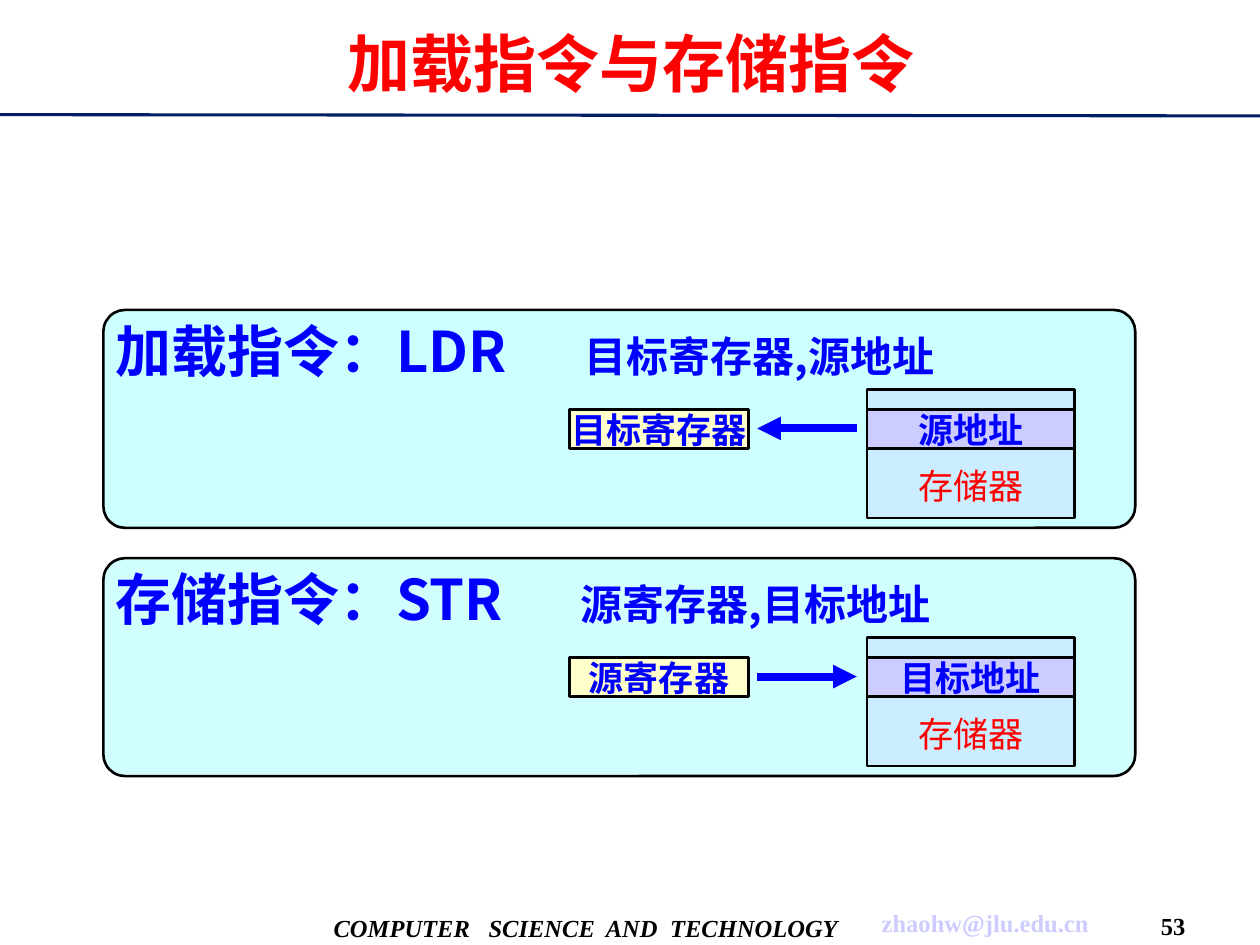
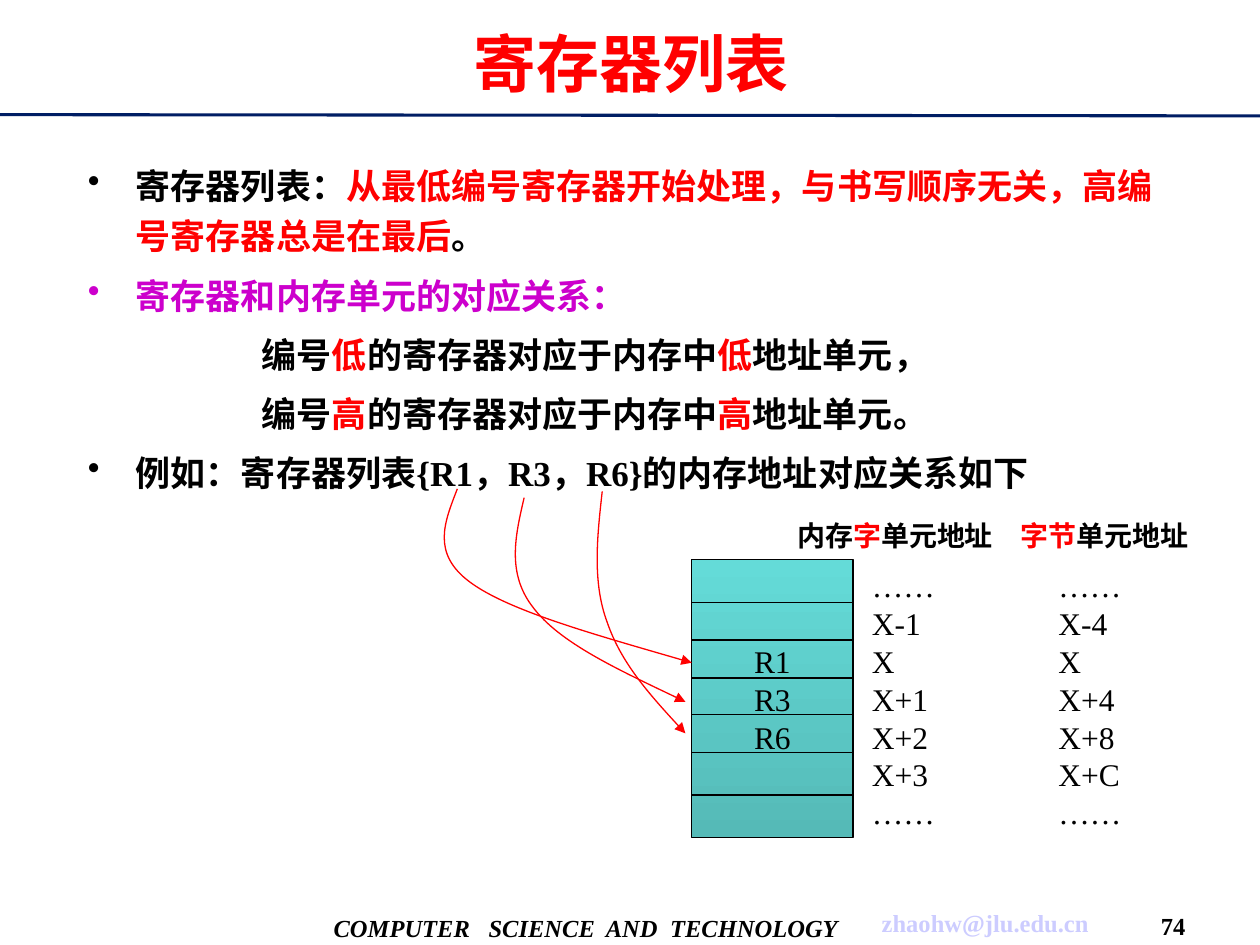
import dataclasses
from typing import Optional

import pptx
import pptx.dml.color
import pptx.enum.shapes
import pptx.enum.text
import pptx.oxml
import pptx.oxml.ns
import pptx.util
from lxml import etree

Inches, Pt = pptx.util.Inches, pptx.util.Pt
qn = pptx.oxml.ns.qn
ALIGN = pptx.enum.text.PP_ALIGN
ANCHOR = pptx.enum.text.MSO_ANCHOR
SHAPE = pptx.enum.shapes.MSO_SHAPE

COLORS = {
    "black": "000000", "red": "FF0000", "blue": "0000FF", "purple": "CC00CC",
    "rule": "001E64", "lavender": "CCCCFF", "panel": "CCFFFF",
    "memory": "CCECFF", "register": "FFFFCC",
    "teal_light": "64DBD8", "teal_dark": "55BAB7",
}
SERIF, SANS = "Times New Roman", "Noto Sans CJK SC"


@dataclasses.dataclass(frozen=True)
class Span:
    text: str
    color: Optional[str] = None
    size: Optional[float] = None


@dataclasses.dataclass(frozen=True)
class Para:
    spans: tuple[Span, ...]
    bullet: Optional[str] = None  # colour of the bullet
    left: float = 0


@dataclasses.dataclass(frozen=True)
class Instruction:
    top: float
    name: str
    operands: str
    operand_tab: float
    register: str
    address: str
    loads: bool
    opacity: int = 100


INSTRUCTIONS = (
    Instruction(2.46, "加载指令：LDR", "目标寄存器,源地址", 3.72, "目标寄存器", "源地址", True),
    Instruction(4.43, "存储指令：STR", "源寄存器,目标地址", 3.69, "源寄存器", "目标地址", False, 90),
)


def rgb(name):
    return pptx.dml.color.RGBColor.from_string(COLORS[name])


def add_xml(parent, tag: str, **attributes: str):
    return etree.SubElement(parent, qn(tag), attributes)


# Text
def write(frame, paras, *, size: float, color="black", bold=False, italic=False,
          font=SERIF, align=ALIGN.LEFT, anchor=ANCHOR.MIDDLE, wrap=False, inset=True,
          line=None, before=0, tabs=()) -> None:
    """Fill a text frame; paras is a string or a sequence of strings and Paras."""
    frame.word_wrap = wrap
    frame.vertical_anchor = anchor
    frame.margin_left = frame.margin_right = Inches(0.1 if inset else 0)
    frame.margin_top = frame.margin_bottom = Inches(0.05 if inset else 0)
    for index, item in enumerate([paras] if isinstance(paras, (str, Para)) else paras):
        para = item if isinstance(item, Para) else Para((Span(item),))
        paragraph = frame.add_paragraph() if index else frame.paragraphs[0]
        properties = paragraph._p.get_or_add_pPr()
        if para.left:
            properties.set("marL", str(Inches(para.left)))
        if para.bullet:
            properties.set("indent", str(-Inches(para.left)))
            bullet_color = add_xml(properties, "a:buClr")
            add_xml(bullet_color, "a:srgbClr", val=COLORS[para.bullet])
            add_xml(properties, "a:buChar", char="•")
        if tabs:
            tab_list = add_xml(properties, "a:tabLst")
            for position in tabs:
                add_xml(tab_list, "a:tab", pos=str(Inches(position)), algn="l")
        paragraph.alignment = align
        if line:
            paragraph.line_spacing = line
        paragraph.space_before = Pt(before if index else 0)
        for span in para.spans:
            run = paragraph.add_run()
            run.text = span.text
            run.font.name = font
            run.font.size = Pt(span.size or size)
            run.font.bold, run.font.italic = bold, italic
            run.font.color.rgb = rgb(span.color or color)
            add_xml(run._r.get_or_add_rPr(), "a:ea", typeface=SANS)


def add_text(page, left: float, top: float, width: float, height: float, paras, **style):
    box = page.shapes.add_textbox(Inches(left), Inches(top), Inches(width), Inches(height))
    write(box.text_frame, paras, **style)
    return box


# Shapes and lines
def add_box(page, left: float, top: float, width: float, height: float,
            fill: Optional[str] = None, kind=SHAPE.RECTANGLE, weight=1.5):
    box = page.shapes.add_shape(kind, Inches(left), Inches(top), Inches(width), Inches(height))
    box.shadow.inherit = False
    if fill:
        box.fill.solid()
        box.fill.fore_color.rgb = rgb(fill)
    box.line.color.rgb = rgb("black")
    box.line.width = Pt(weight)
    return box


def style_line(shape, color: str, weight: float, arrow: bool) -> None:
    shape.line.color.rgb = rgb(color)
    shape.line.width = Pt(weight)
    if arrow:
        add_xml(shape.line._get_or_add_ln(), "a:tailEnd", type="triangle")


def add_line(page, start, end, color="black", weight=0.75, arrow=False) -> None:
    line = page.shapes.add_connector(
        pptx.enum.shapes.MSO_CONNECTOR.STRAIGHT, *map(Inches, (*start, *end)))
    style_line(line, color, weight, arrow)
    add_xml(line._element.spPr, "a:effectLst")


def add_curve(page, start, *controls) -> None:
    """Draw a red arrow of cubic curves, three control points to each curve."""
    builder = page.shapes.build_freeform(*map(Inches, start))
    builder.add_line_segments([tuple(map(Inches, point)) for point in controls], close=False)
    curve = builder.convert_to_shape()
    curve.shadow.inherit = False
    curve.fill.background()
    style_line(curve, "red", 0.75, True)
    outline = next(curve._element.iter(qn("a:path")))
    segments = outline.findall(qn("a:lnTo"))
    for first in range(0, len(segments), 3):
        cubic = add_xml(outline, "a:cubicBezTo")
        for segment in segments[first:first + 3]:
            cubic.append(segment[0])
            outline.remove(segment)


# Title, rule and footer of every page
def add_page(deck, title: str, number: str):
    page = deck.slides.add_slide(deck.slide_layouts[6])
    add_line(page, (0, 0.91), (10, 0.92), "rule", 1.75)
    footer = {"size": 14, "bold": True}
    add_text(page, 2.55, 7.15, 4.4, 0.42, "COMPUTER\tSCIENCE\tAND\tTECHNOLOGY",
             italic=True, wrap=True, tabs=(1.23, 2.16, 2.67), **footer)
    add_text(page, 6.72, 7.14, 2.2, 0.36, "zhaohw@jlu.edu.cn",
             color="lavender", align=ALIGN.CENTER, **footer)
    add_text(page, 9.09, 7.19, 0.44, 0.31, number, align=ALIGN.CENTER, **footer)
    add_text(page, 0.32, 0.08, 9.37, 0.83, title, size=36, color="red", bold=True,
             align=ALIGN.CENTER, wrap=True)
    return page


# Page 53: load and store
def add_instruction(page, item: Instruction) -> None:
    panel = add_box(page, 0.82, item.top, 8.19, 1.73, "panel", SHAPE.ROUNDED_RECTANGLE)
    panel.adjustments[0] = 0.1
    if item.opacity < 100:
        fill_color = next(panel._element.spPr.iter(qn("a:srgbClr")))
        add_xml(fill_color, "a:alpha", val=str(item.opacity * 1000))
    heading = Para((Span(item.name + "\t"), Span(item.operands, size=24)))
    add_text(page, 0.82, item.top, 7.79, 0.64, heading, size=32, color="blue", bold=True,
             font=SANS, anchor=ANCHOR.TOP, wrap=True, tabs=(item.operand_tab,))

    label = {"size": 20, "align": ALIGN.CENTER}
    memory = add_box(page, 6.88, item.top + 0.63, 1.65, 1.02, "memory")
    write(memory.text_frame, "存储器", color="red", anchor=ANCHOR.BOTTOM, **label)
    memory.text_frame.margin_bottom = Inches(0.09)
    row = item.top + 0.79
    for left, width, fill, text in ((6.88, 1.65, "lavender", item.address),
                                    (4.52, 1.42, "register", item.register)):
        cell = add_box(page, left, row, width, 0.31, fill)
        write(cell.text_frame, text, color="blue", bold=True, **label)

    ends = [(6.01, row + 0.15), (6.8, row + 0.15)]
    if item.loads:
        ends.reverse()
    add_line(page, *ends, "blue", 4.5, arrow=True)


def build_load_store(deck) -> None:
    page = add_page(deck, "加载指令与存储指令", "53")
    for item in INSTRUCTIONS:
        add_instruction(page, item)


# Page 74: register list
def rule_para(level: str) -> Para:
    end = "，" if level == "低" else "。"
    return Para((Span("编号"), Span(level, "red"), Span("的寄存器对应于内存中"),
                 Span(level, "red"), Span("地址单元" + end)), left=1.38)


def build_register_list(deck) -> None:
    page = add_page(deck, "寄存器列表", "74")
    body = (
        Para((Span("寄存器列表："),
              Span("从最低编号寄存器开始处理，与书写顺序无关，高编号寄存器总是在最后", "red"),
              Span("。")), "black", 0.38),
        Para((Span("寄存器和内存单元的对应关系：", "purple"),), "purple", 0.38),
        rule_para("低"),
        rule_para("高"),
        Para((Span("例如：寄存器列表{R1，R3，R6}的内存地址对应关系如下"),), "black", 0.38),
    )
    add_text(page, 0.6, 1.19, 8.83, 2.81, body, size=20, bold=True, anchor=ANCHOR.TOP,
             wrap=True, line=1.2, before=5)

    # Memory column
    top, height = 4.44, 2.21
    memory = add_box(page, 5.49, top, 1.28, height, weight=0.75)
    memory.fill.gradient()
    memory.fill.gradient_angle = 270
    for stop, position, color in zip(memory.fill.gradient_stops, (0, 1),
                                     ("teal_light", "teal_dark")):
        stop.position = position
        stop.color.rgb = rgb(color)
    rows = {"size": 18, "line": Pt(21.6)}
    write(memory.text_frame, ("R1", "R3", "R6"), align=ALIGN.CENTER, **rows)
    for y in (4.78, 5.08, 5.38, 5.67, 5.97, 6.31):
        add_line(page, (5.49, y), (6.77, y))

    # Address columns
    word_heading = Para((Span("内存"), Span("字", "red"), Span("单元地址")))
    byte_heading = Para((Span("字节", "red"), Span("单元地址")))
    for heading_left, width, heading, left, offsets in (
            (6.33, 1.63, word_heading, 6.92, ("-1", "", "+1", "+2", "+3")),
            (8.1, 1.48, byte_heading, 8.4, ("-4", "", "+4", "+8", "+C"))):
        add_text(page, heading_left, 4.05, width, 0.39, heading, size=16, bold=True, inset=False)
        addresses = ["……", *("X" + offset for offset in offsets), "……"]
        add_text(page, left, top, 0.69, height, addresses, inset=False, **rows)

    # Arrows from the listed registers to their memory cells
    add_curve(page, (3.63, 3.88), (3.53, 4.14), (3.42, 4.39), (3.73, 4.62),
              (4.04, 4.85), (4.77, 5.05), (5.49, 5.26))
    add_curve(page, (4.16, 3.95), (4.09, 4.25), (4.02, 4.55), (4.23, 4.82),
              (4.44, 5.1), (4.94, 5.33), (5.44, 5.57))
    add_curve(page, (4.78, 3.9), (4.74, 4.26), (4.7, 4.62), (4.82, 4.94),
              (4.93, 5.26), (5.18, 5.54), (5.44, 5.82))


def main() -> None:
    deck = pptx.Presentation()
    deck.slide_width, deck.slide_height = Inches(10), Inches(7.5)
    build_load_store(deck)
    build_register_list(deck)
    deck.save("out.pptx")


if __name__ == "__main__":
    main()
